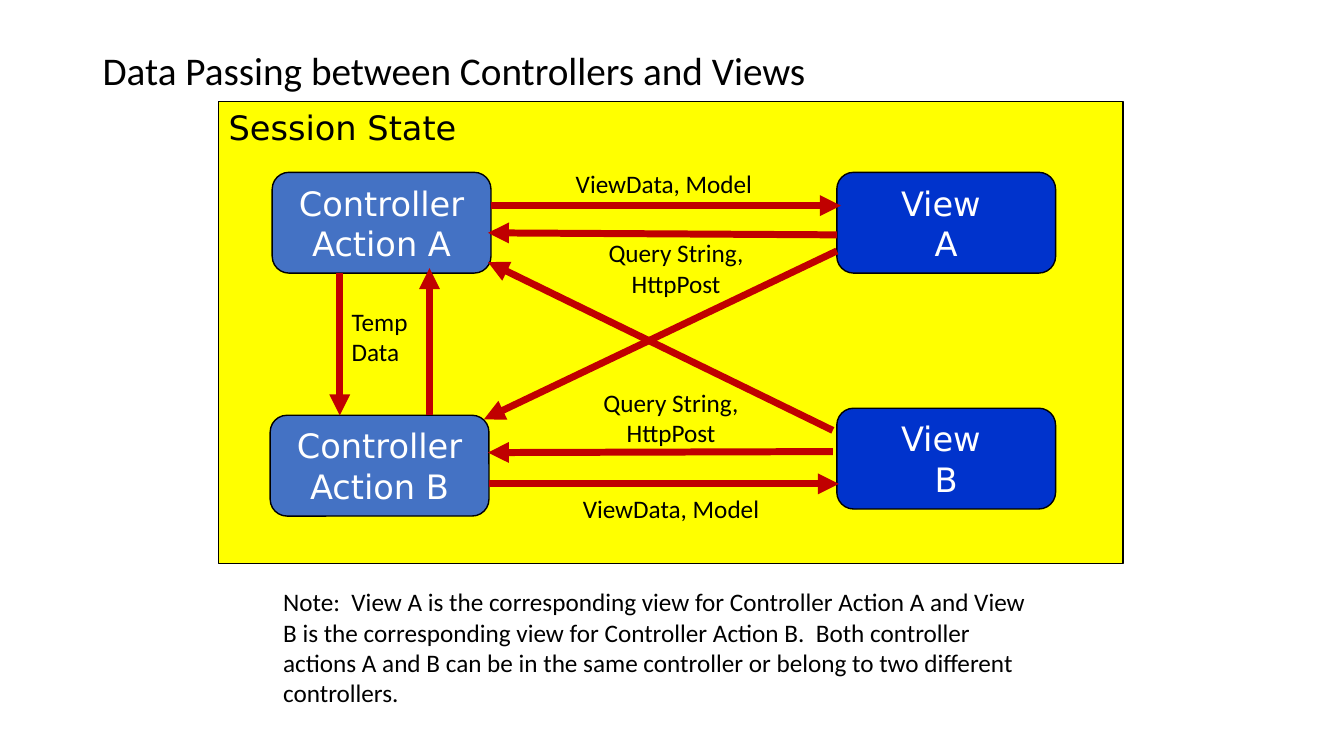
from lxml import etree
from pptx import Presentation
from pptx.dml.color import RGBColor
from pptx.enum.shapes import MSO_CONNECTOR, MSO_SHAPE
from pptx.enum.text import MSO_ANCHOR as ANCHOR, PP_ALIGN as ALIGN
from pptx.oxml.ns import qn
from pptx.util import Inches, Pt

# Content
TITLE = "Data Passing between Controllers and Views"
NOTE = ("Note:  View A is the corresponding view for Controller Action A and "
        "View B is the corresponding view for Controller Action B.  Both "
        "controller actions A and B can be in the same controller or belong "
        "to two different controllers.")
SESSION = ("Session State", 2.17, 1.01, 8.97, 4.58)
BLUE, NAVY, RED, YELLOW = "4472C4", "0033CC", "C00000", "FFFF00"
BLACK, WHITE = "000000", "FFFFFF"

NODE_W, NODE_H = 2.17, 1
NODES = [  # text, left, top, fill
    ("Controller Action A", 2.7, 1.71, BLUE),
    ("Controller Action B", 2.68, 4.12, BLUE),
    ("View \nA", 8.3, 1.71, NAVY),
    ("View \nB", 8.3, 4.05, NAVY),
]
ARROWS = [  # from x, y, to x, y
    (3.37, 2.71, 3.37, 4.12),  # Action A to Action B
    (4.26, 4.12, 4.26, 2.66),  # Action B to Action A
    (4.87, 2.04, 8.34, 2.04),  # Action A to View A
    (4.85, 4.8, 8.32, 4.8),    # Action B to View B
    (8.3, 2.33, 4.84, 2.31),   # View A to Action A
    (8.26, 4.48, 4.84, 4.49),  # View B to Action B
    (8.3, 2.49, 4.8, 4.16),    # View A to Action B
    (8.26, 4.27, 4.84, 2.6),   # View B to Action A
]
LABELS = [  # text, left, top, width, height
    ("ViewData, Model", 5.09, 1.62, 2.99, 0.4),
    ("ViewData, Model", 5.16, 4.84, 2.99, 0.4),
    ("Query String, HttpPost", 5.68, 2.31, 2.05, 0.71),
    ("Query String, HttpPost", 5.63, 3.79, 2.05, 0.71),
]


def rgb(color):
    return RGBColor.from_string(color)


def put_text(shape, text, size=18, font="Calibri", color=BLACK,
             align=ALIGN.LEFT, anchor=ANCHOR.TOP, wrap=True, spacing=None):
    tf = shape.text_frame
    tf.word_wrap = wrap
    tf.vertical_anchor = anchor
    for i, line in enumerate(text.split("\n")):
        p = tf.add_paragraph() if i else tf.paragraphs[0]
        p.alignment = align
        p.line_spacing = spacing
        r = p.add_run()
        r.text = line
        r.font.size = Pt(size)
        r.font.name = font
        r.font.color.rgb = rgb(color)


def add_text(s, text, x, y, w, h, **fmt):
    box = s.shapes.add_textbox(Inches(x), Inches(y), Inches(w), Inches(h))
    put_text(box, text, **fmt)


def add_box(s, kind, text, x, y, w, h, fill, **fmt):
    sp = s.shapes.add_shape(kind, Inches(x), Inches(y), Inches(w), Inches(h))
    sp.shadow.inherit = False
    sp.fill.solid()
    sp.fill.fore_color.rgb = rgb(fill)
    sp.line.color.rgb = rgb(BLACK)
    sp.line.width = Pt(1)
    put_text(sp, text, size=24, font="DejaVu Sans", **fmt)


def add_arrow(s, *ends):
    line = s.shapes.add_connector(MSO_CONNECTOR.STRAIGHT, *map(Inches, ends))
    line.line.color.rgb = rgb(RED)
    line.line.width = Pt(5)
    etree.SubElement(line.line._get_or_add_ln(), qn("a:tailEnd"), type="triangle")
    etree.SubElement(line._element.spPr, qn("a:effectLst"))


def main():
    prs = Presentation()
    prs.slide_width, prs.slide_height = Inches(13.33), Inches(7.5)
    s = prs.slides.add_slide(prs.slide_layouts[6])

    # Title and note
    add_text(s, TITLE, 0.92, 0, 11.5, 1.45, size=28, anchor=ANCHOR.MIDDLE,
             spacing=0.9)
    add_text(s, NOTE, 2.71, 5.77, 7.59, 0.92)

    # Session area with controllers and views
    add_box(s, MSO_SHAPE.RECTANGLE, *SESSION, YELLOW)
    for text, x, y, fill in NODES:
        add_box(s, MSO_SHAPE.ROUNDED_RECTANGLE, text, x, y, NODE_W, NODE_H,
                fill, color=WHITE, align=ALIGN.CENTER, anchor=ANCHOR.MIDDLE)

    # Data flows and their labels
    for ends in ARROWS:
        add_arrow(s, *ends)
    add_text(s, "Temp\nData", 3.39, 2.99, 0.76, 0.71, wrap=False)
    for label in LABELS:
        add_text(s, *label, align=ALIGN.CENTER)

    prs.save("out.pptx")


if __name__ == "__main__":
    main()
